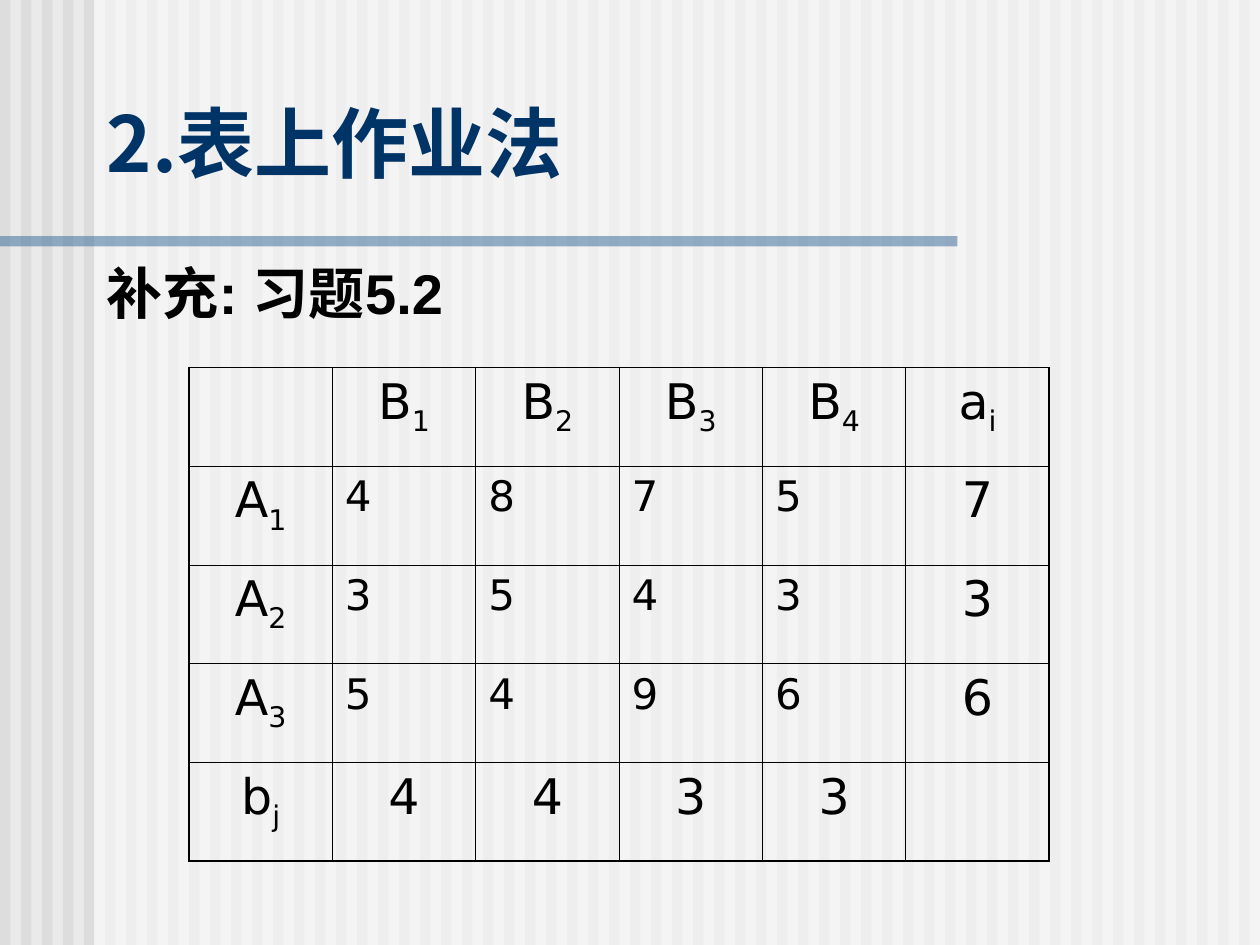
from lxml.etree import SubElement
from pptx import Presentation
from pptx.dml.color import RGBColor
from pptx.enum.shapes import MSO_SHAPE as Shape
from pptx.enum.text import MSO_ANCHOR as Anchor, PP_ALIGN as Align
from pptx.oxml.ns import qn
from pptx.util import Cm, Pt

PAPER = RGBColor(0xEA, 0xEA, 0xEA)
STRIPE = RGBColor(0xDD, 0xDD, 0xDD)
WHITE = RGBColor(0xFF, 0xFF, 0xFF)
BLUE = RGBColor(0x33, 0x66, 0x99)
NAVY = RGBColor(0x00, 0x33, 0x66)
BLACK = RGBColor(0x00, 0x00, 0x00)
CHINESE_FONT = "Noto Sans CJK SC"
WIDTH, HEIGHT = 25.4, 19.05

presentation = Presentation()
presentation.slide_width, presentation.slide_height = Cm(WIDTH), Cm(HEIGHT)
slide = presentation.slides.add_slide(presentation.slide_layouts[6])
slide.background.fill.solid()
slide.background.fill.fore_color.rgb = PAPER


def add_bar(left, top, width, height, color, opacity=100):
    bar = slide.shapes.add_shape(Shape.RECTANGLE, Cm(left), Cm(top), Cm(width), Cm(height))
    bar.shadow.inherit = False
    bar.line.fill.background()
    bar.fill.solid()
    bar.fill.fore_color.rgb = color
    if opacity < 100:
        fill_color = bar.fill._xPr.find(qn("a:solidFill"))[0]
        SubElement(fill_color, qn("a:alpha"), val=str(opacity * 1000))


def style_run(run, font_name, size, color, bold=False):
    font = run.font
    font.name, font.size, font.bold = font_name, Pt(size), bold
    font.color.rgb = color
    SubElement(run._r.get_or_add_rPr(), qn("a:ea"), typeface=CHINESE_FONT)


# Striped background, veiled in white right of the margin
stripe_count = 60
stripe_pitch = WIDTH / stripe_count
for index in range(stripe_count):
    add_bar(index * stripe_pitch, 0, stripe_pitch / 2, HEIGHT, STRIPE)
add_bar(1.9, 0, WIDTH - 1.9, HEIGHT, WHITE, opacity=50)
add_bar(0, 4.76, 19.3, 0.21, BLUE, opacity=50)

# Title and exercise line
text_boxes = [
    ("2.表上作业法", 1.27, 3.18, Anchor.MIDDLE, Align.LEFT, CHINESE_FONT, 44, NAVY),
    ("补充: 习题5.2", 5.08, 12.9, Anchor.TOP, Align.JUSTIFY, "Arial", 32, BLACK),
]
for text, top, height, anchor, alignment, font_name, size, color in text_boxes:
    box = slide.shapes.add_textbox(Cm(1.9), Cm(top), Cm(21.6), Cm(height))
    text_frame = box.text_frame
    text_frame.word_wrap = True
    text_frame.vertical_anchor = anchor
    text_frame.text = text
    paragraph = text_frame.paragraphs[0]
    paragraph.alignment = alignment
    style_run(paragraph.runs[0], font_name, size, color, bold=True)

# Transport table: unit costs inside, supplies a on the right, demands b below.
# Letters carry their index as a subscript.
rows = [
    ["", "B1", "B2", "B3", "B4", "ai"],
    ["A1", "4", "8", "7", "5", "7"],
    ["A2", "3", "5", "4", "3", "3"],
    ["A3", "5", "4", "9", "6", "6"],
    ["bj", "4", "4", "3", "3", ""],
]
last_row, last_column = len(rows) - 1, len(rows[0]) - 1
table = slide.shapes.add_table(
    len(rows), len(rows[0]), Cm(3.81), Cm(7.41), Cm(17.36), Cm(9.96)
).table
table.first_row = table.horz_banding = False
for column in table.columns:
    column.width = Cm(2.89)
for row in table.rows:
    row.height = Cm(1.99)

for row_index, row_texts in enumerate(rows):
    for column_index, text in enumerate(row_texts):
        cell = table.cell(row_index, column_index)
        is_cost = 0 < row_index < last_row and 0 < column_index < last_column
        paragraph = cell.text_frame.paragraphs[0]
        paragraph.alignment = Align.LEFT if is_cost else Align.CENTER
        for position, character in enumerate(text):
            run = paragraph.add_run()
            run.text = character
            style_run(run, "DejaVu Sans", 24 if is_cost else 28, BLACK)
            if position:
                run.font._element.set("baseline", "-25000")

        outer_edges = {
            "L": column_index == 0,
            "R": column_index == last_column,
            "T": row_index == 0,
            "B": row_index == last_row,
        }
        properties = cell._tc.get_or_add_tcPr()
        for side, is_outer in outer_edges.items():
            line_width = Pt(1.08 if is_outer else 0.45)
            border = SubElement(properties, qn(f"a:ln{side}"), w=str(line_width))
            border_fill = SubElement(border, qn("a:solidFill"))
            SubElement(border_fill, qn("a:srgbClr"), val=str(BLACK))
        cell.fill.background()

presentation.save("out.pptx")
